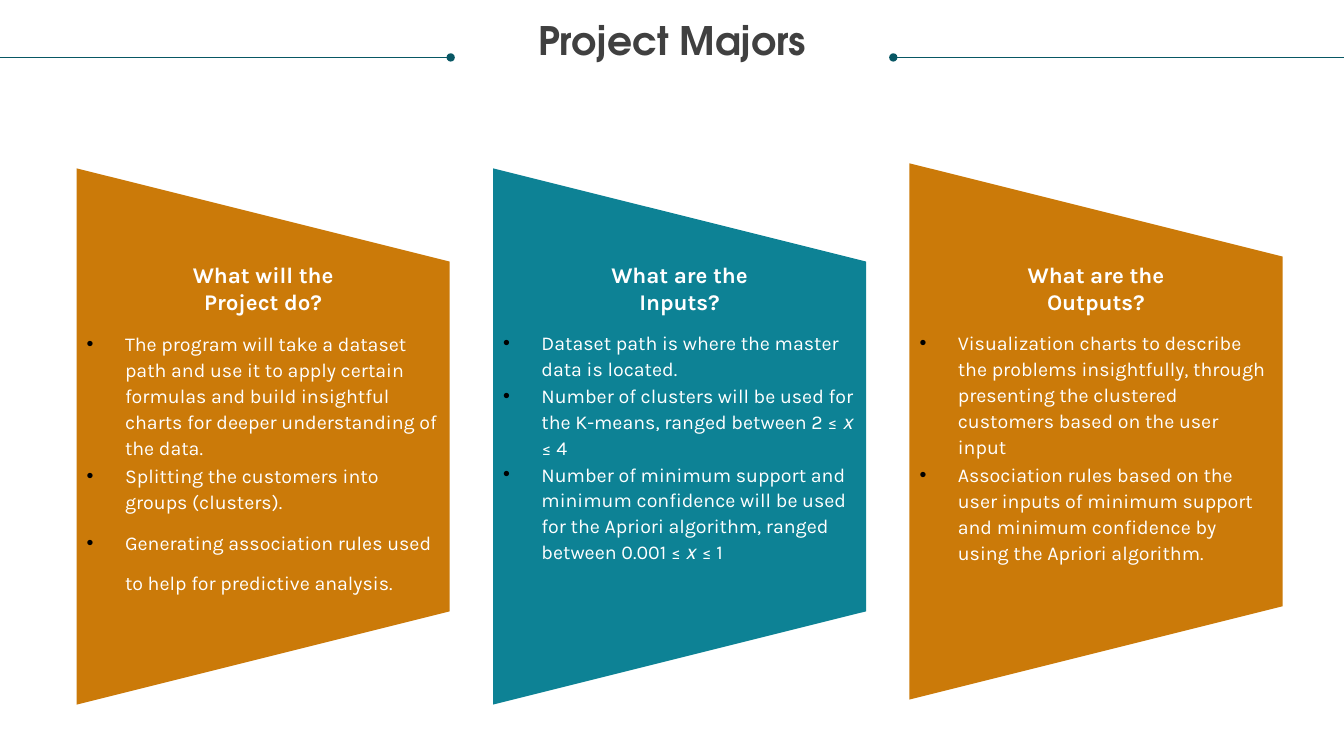
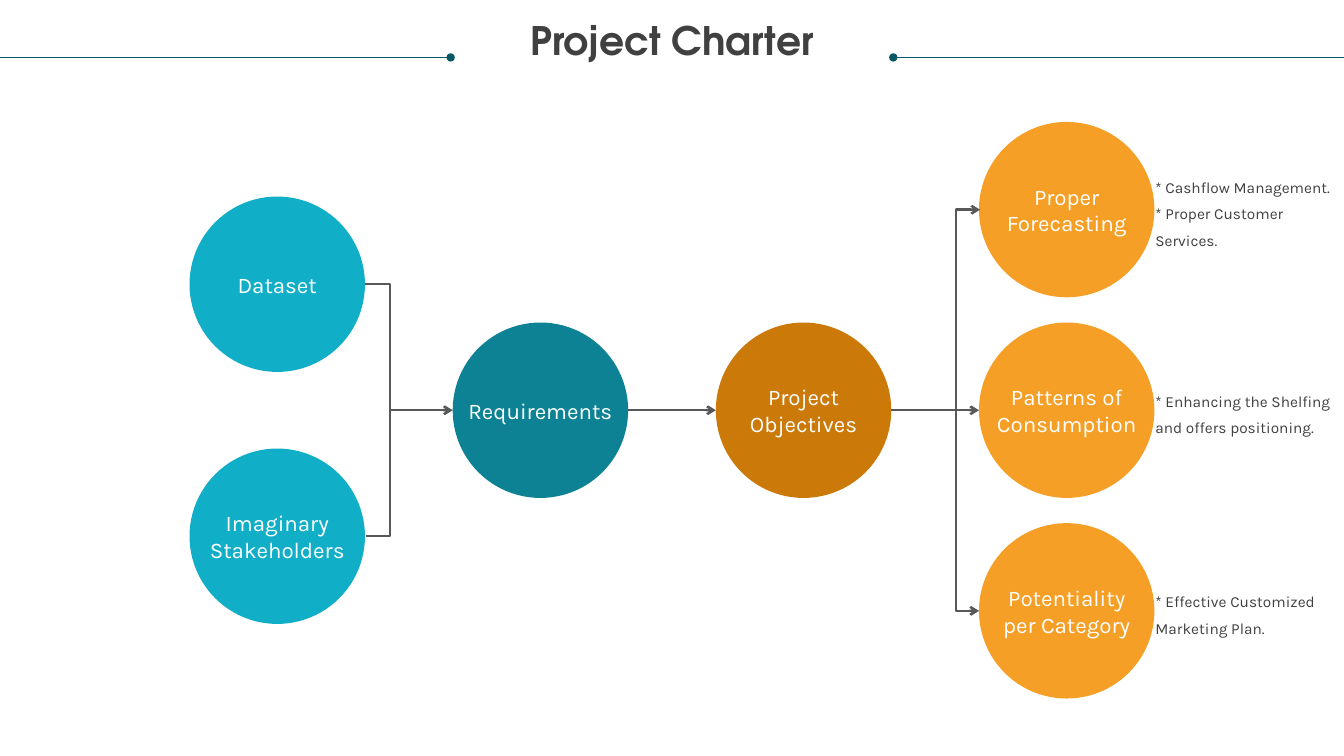
import pptx
import pptx.util
import pptx.dml.color
import pptx.enum.shapes
import pptx.enum.text
import pptx.oxml.ns
from lxml import etree

Inches, Pt = pptx.util.Inches, pptx.util.Pt
SHAPE = pptx.enum.shapes.MSO_SHAPE
WIRE = pptx.enum.shapes.MSO_CONNECTOR
ALIGN = pptx.enum.text.PP_ALIGN
ANCHOR = pptx.enum.text.MSO_ANCHOR
qn = pptx.oxml.ns.qn

COLORS = {
    "white": "FFFFFF", "black": "000000", "ink": "404040", "rule": "085764",
    "wire": "585858", "rust": "CB7A09", "teal": "0D8295", "aqua": "11AEC7",
    "amber": "F59F26",
}
HEAD_FONT, BODY_FONT = "TeX Gyre Adventor", "Karla"

# Card: heading, fill, card centre y, list top, list height,
# items as (text, line spacing, points after)
CARDS = [
    ("What will the Project do?", "rust", 4.33, 3.27, 2.34, [
        ("The program will take a dataset path and use it to apply certain "
         "formulas and build insightful charts for deeper understanding of "
         "the data.", 1.1, 2),
        ("Splitting the customers into groups (clusters).", 1.1, 0.8),
        ("Generating association rules used to help for predictive analysis.",
         1.7, 0),
    ]),
    ("What are the Inputs?", "teal", 4.33, 3.26, 2.34, [
        ("Dataset path is where the master data is located.", 1.1, 0.7),
        ("Number of clusters will be used for the K-means, ranged between "
         "2 ≤ 𝑥 ≤ 4", 1.1, 0.8),
        ("Number of minimum support and minimum confidence will be used for "
         "the Apriori algorithm, ranged between 0.001 ≤ 𝑥 ≤ 1", 1.1, 7.8),
    ]),
    ("What are the Outputs?", "rust", 4.28, 3.26, 2.08, [
        ("Visualization charts to describe the problems insightfully, through "
         "presenting the clustered customers based on the user input", 1.1, 2),
        ("Association rules based on the user inputs of minimum support and "
         "minimum confidence by using the Apriori algorithm.", 1.1, 2),
    ]),
]
CARD_W, CARD_H, CARD_X, CARD_STEP = 3.7, 5.32, 2.61, 4.13

# Node: label, column, centre y, fill, side notes
NODES = [
    ("Dataset", 0, 2.82, "aqua", []),
    ("Imaginary Stakeholders", 0, 5.32, "aqua", []),
    ("Requirements", 1, 4.07, "teal", []),
    ("Project Objectives", 2, 4.07, "rust", []),
    ("Patterns of Consumption", 3, 4.07, "amber",
     ["* Enhancing the Shelfing and offers positioning."]),
    ("Proper Forecasting", 3, 2.08, "amber",
     ["* Cashflow Management.", "* Proper Customer Services."]),
    ("Potentiality per Category", 3, 6.06, "amber",
     ["* Effective Customized Marketing Plan."]),
]
NODE_D, NODE_X, NODE_STEP = 1.74, 2.75, 2.61
MID_Y, FORK_X = 4.07, 3.87


def rgb(name):
    return pptx.dml.color.RGBColor.from_string(COLORS[name])


def setup(frame, anchor=ANCHOR.TOP):
    frame.auto_size = pptx.enum.text.MSO_AUTO_SIZE.NONE
    frame.word_wrap = True
    frame.vertical_anchor = anchor
    frame.margin_left = frame.margin_right = 0
    frame.margin_top = frame.margin_bottom = 0


def write(frame, lines, size, color, font=BODY_FONT, bold=False,
          align=ALIGN.LEFT, gap=None):
    """Fill a frame with one paragraph per line; return the paragraphs."""
    for i, line in enumerate(lines):
        par = frame.paragraphs[0] if i == 0 else frame.add_paragraph()
        par.alignment = align
        par.space_before = Pt(0)
        if gap:
            par.line_spacing = gap
        run = par.add_run()
        run.text = line
        run.font.name, run.font.size, run.font.bold = font, Pt(size), bold
        run.font.color.rgb = rgb(color)
    return frame.paragraphs


def place(item, x, y, w, h):
    item.left, item.top = Inches(x), Inches(y)
    item.width, item.height = Inches(w), Inches(h)


def label(slide, lines, x, y, w, h, size, color, anchor=ANCHOR.TOP, **style):
    box = slide.shapes.add_textbox(Inches(x), Inches(y), Inches(w), Inches(h))
    setup(box.text_frame, anchor)
    write(box.text_frame, lines, size, color, **style)


def solid(slide, kind, cx, cy, w, h, color):
    """Add a filled shape, without outline, around a centre."""
    item = slide.shapes.add_shape(kind, Inches(cx - w / 2), Inches(cy - h / 2),
                                  Inches(w), Inches(h))
    item.shadow.inherit = False
    item.fill.solid()
    item.fill.fore_color.rgb = rgb(color)
    item.line.fill.background()
    return item


def wire(slide, start, end, color="wire", width=1.75, head=None, tail=None,
         bend=None):
    """Add a line; bend is the elbow's reach as a multiple of its width."""
    kind = WIRE.STRAIGHT if bend is None else WIRE.ELBOW
    line = slide.shapes.add_connector(kind, *map(Inches, start + end))
    line.line.color.rgb = rgb(color)
    line.line.width = Pt(width)
    props = line.element.spPr
    stroke = props.find(qn("a:ln"))
    for tag, tip in (("a:headEnd", head), ("a:tailEnd", tail)):
        if tip:
            etree.SubElement(stroke, qn(tag), type=tip)
    etree.SubElement(props, qn("a:effectLst"))
    if bend is not None:
        geom = props.find(qn("a:prstGeom"))
        marks = geom.find(qn("a:avLst"))
        if marks is None:
            marks = etree.SubElement(geom, qn("a:avLst"))
        etree.SubElement(marks, qn("a:gd"), name="adj1",
                         fmla=f"val {bend * 100000}")
    return line


def bullet(par):
    props = par._p.get_or_add_pPr()
    props.set("marL", str(Inches(0.38)))
    props.set("indent", str(Inches(-0.38)))
    tint = etree.SubElement(props, qn("a:buClr"))
    etree.SubElement(tint, qn("a:srgbClr"), val=COLORS["black"])
    etree.SubElement(props, qn("a:buChar"), char="•")


def start(prs, layout, title):
    """Add a slide with the shared title and its two dotted rules."""
    slide = prs.slides.add_slide(prs.slide_layouts.get_by_name(layout))
    head = slide.shapes.title
    place(head, 0.25, 0.21, 12.83, 0.85)
    setup(head.text_frame)
    write(head.text_frame, [title], 28, "ink", HEAD_FONT, True,
          ALIGN.CENTER, 0.9)
    wire(slide, (8.86, 0.57), (13.33, 0.57), "rule", 0.5, head="oval")
    wire(slide, (0, 0.57), (4.47, 0.57), "rule", 0.5, tail="oval")
    return slide


def majors(prs):
    slide = start(prs, "Comparison", "Project Majors")
    *lists, spare = list(slide.placeholders)[1:]
    spare.element.getparent().remove(spare.element)
    for i, (head, fill, cy, top, tall, items) in enumerate(CARDS):
        cx = CARD_X + i * CARD_STEP
        card = solid(slide, SHAPE.TRAPEZOID, cx, cy, CARD_H, CARD_W, fill)
        card.rotation = 90
        label(slide, [head], cx - 0.75, 2.59, 1.5, 0.54, 16, "white",
              bold=True, align=ALIGN.CENTER)
        body = lists[i]
        body.element.getparent().append(body.element)  # above its card
        place(body, cx - 1.75, top, 3.49, tall)
        setup(body.text_frame)
        pars = write(body.text_frame, [item[0] for item in items], 14, "white")
        for par, (_, gap, after) in zip(pars, items):
            par.line_spacing, par.space_after = gap, Pt(after)
            bullet(par)


def charter(prs):
    slide = start(prs, "Title Only", "Project Charter")
    for _, col, cy, fill, _ in NODES:
        solid(slide, SHAPE.OVAL, NODE_X + col * NODE_STEP, cy,
              NODE_D, NODE_D, fill)

    edges = [NODE_X + col * NODE_STEP - NODE_D / 2 for col in range(4)]
    out = edges[0] + NODE_D
    wire(slide, (out, 2.82), (out + 0.01, 5.32), bend=25)
    starts = [FORK_X] + [x + NODE_D for x in edges[1:3]]
    for left, right in zip(starts, edges[1:]):
        wire(slide, (left, MID_Y), (right, MID_Y), tail="arrow")
    fork = wire(slide, (edges[3], 6.06), (edges[3] + 0.01, 2.08),
                head="arrow", tail="arrow", bend=24)
    fork.element.spPr.find(qn("a:xfrm")).set("rot", str(180 * 60000))

    for text, col, cy, _, notes in NODES:
        cx = NODE_X + col * NODE_STEP
        label(slide, [text], cx - 0.75, cy - 0.27, 1.5, 0.54, 16, "white",
              ANCHOR.MIDDLE, align=ALIGN.CENTER)
        if notes:
            label(slide, notes, 11.46, cy - 0.25, 1.84, 0.5, 11, "ink",
                  ANCHOR.MIDDLE, gap=Pt(19))


def main():
    prs = pptx.Presentation()
    prs.slide_width, prs.slide_height = Inches(13.33), Inches(7.5)
    majors(prs)
    charter(prs)
    prs.save("out.pptx")


if __name__ == "__main__":
    main()
